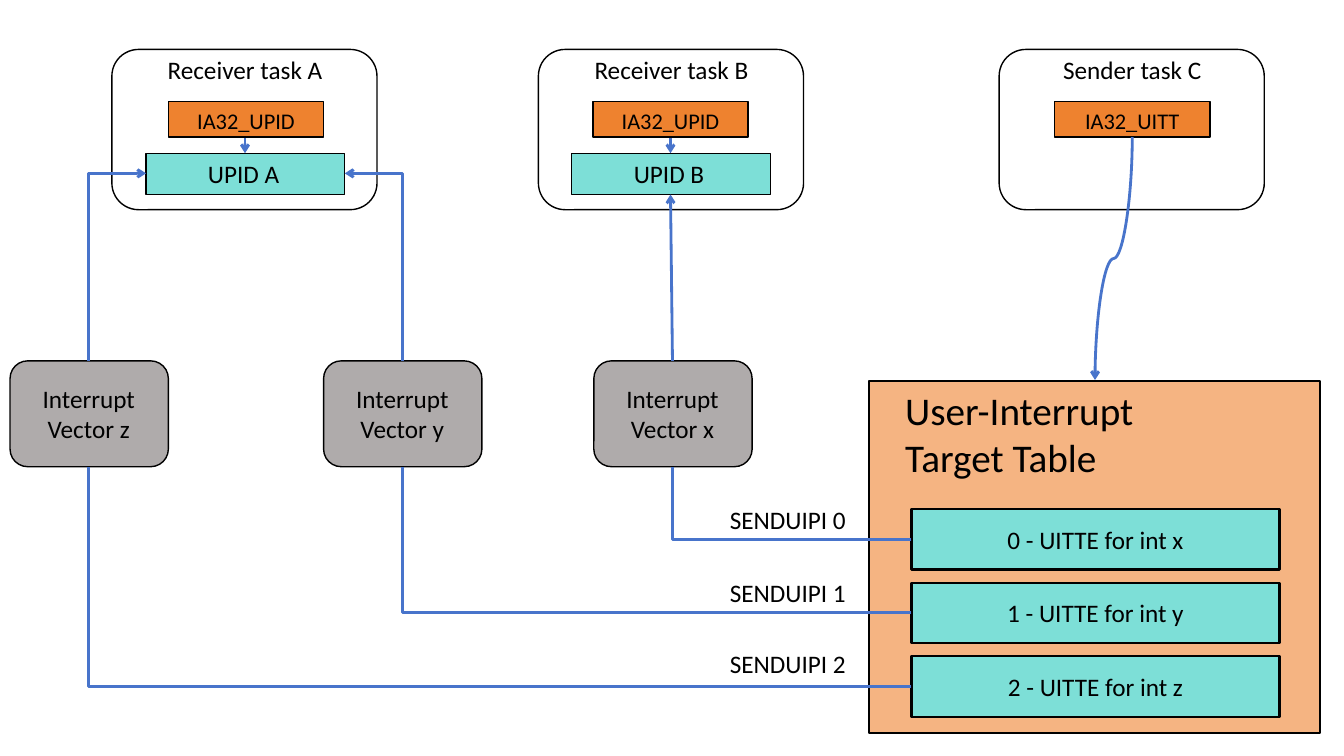
from lxml import etree
from pptx import Presentation
from pptx.dml.color import RGBColor
from pptx.enum.shapes import MSO_CONNECTOR, MSO_SHAPE
from pptx.enum.text import MSO_ANCHOR, PP_ALIGN
from pptx.oxml.ns import qn
from pptx.util import Inches, Pt

RECT = MSO_SHAPE.FLOWCHART_PROCESS
ROUND = MSO_SHAPE.FLOWCHART_ALTERNATE_PROCESS
LINE, BENT, CURVE = MSO_CONNECTOR.STRAIGHT, MSO_CONNECTOR.ELBOW, MSO_CONNECTOR.CURVE
LEFT, MID = PP_ALIGN.LEFT, PP_ALIGN.CENTER
TOP, HALF = MSO_ANCHOR.TOP, MSO_ANCHOR.MIDDLE
INK = {"black": "000000", "blue": "4874CB", "teal": "7DDFD7",
       "orange": "EE822F", "peach": "F5B482", "gray": "AFABAB"}


class Board:
    """Draws styled boxes, labels and links on one slide."""

    def __init__(self, slide, font="Calibri"):
        self.items = slide.shapes
        self.font = font

    def tint(self, name):
        return RGBColor.from_string(INK[name])

    def letter(self, frame, text, size, align, anchor):
        frame.word_wrap = True
        frame.vertical_anchor = anchor
        for i, row in enumerate(text.split("\n")):
            para = frame.add_paragraph() if i else frame.paragraphs[0]
            para.text = row
            para.alignment = align
            para.font.name = self.font
            para.font.size = Pt(size)
            para.font.color.rgb = self.tint("black")

    def box(self, kind, area, fill=None, width=1, text="", size=18, anchor=HALF):
        shape = self.items.add_shape(kind, *map(Inches, area))
        shape.shadow.inherit = False
        if fill:
            shape.fill.solid()
            shape.fill.fore_color.rgb = self.tint(fill)
        else:
            shape.fill.background()
        shape.line.color.rgb = self.tint("black")
        shape.line.width = Pt(width)
        if text:
            self.letter(shape.text_frame, text, size, MID, anchor)

    def label(self, area, text, size=18, align=MID):
        frame = self.items.add_textbox(*map(Inches, area)).text_frame
        self.letter(frame, text, size, align, TOP)

    def link(self, kind, start, end, tip=None, turn=0):
        wire = self.items.add_connector(kind, *map(Inches, start + end))
        wire.line.color.rgb = self.tint("blue")
        wire.line.width = Pt(2)
        props = wire.element.spPr
        if kind == BENT:
            props.find(qn("a:prstGeom")).set("prst", "bentConnector2")
        if turn:
            props.find(qn("a:xfrm")).set("rot", str(turn * 60000))
        if tip:
            etree.SubElement(props.find(qn("a:ln")), qn(tip), type="arrow")
        etree.SubElement(props, qn("a:effectLst"))


def main():
    deck = Presentation()
    deck.slide_width, deck.slide_height = Inches(13.33), Inches(7.5)
    board = Board(deck.slides.add_slide(deck.slide_layouts[6]))
    head, tail = "a:headEnd", "a:tailEnd"

    board.box(RECT, (8.62, 3.78, 4.47, 3.49), "peach", 1.5)
    for i, name in enumerate("xyz"):
        board.box(RECT, (9.04, 5.05 + 0.73 * i, 3.65, 0.6), "teal", 1.5,
                  f"{i} - UITTE for int {name}")

    tasks = [(1.11, 1.67, "Receiver task A", "IA32_UPID"),
             (5.34, 5.88, "Receiver task B", "IA32_UPID"),
             (9.91, 10.46, "Sender task C", "IA32_UITT")]
    for left, inner, title, reg in tasks:
        board.box(RECT, (inner, 1.01, 1.54, 0.35), "orange", 1, reg, 16, TOP)
        board.box(ROUND, (left, 0.49, 2.63, 1.59))
        board.label((left + 0.27, 0.49, 2.1, 0.4), title)

    for left, name in ((1.45, "A"), (5.67, "B")):
        board.box(RECT, (left, 1.52, 1.97, 0.41), "teal")
        board.label((left + 0.32, 1.52, 1.29, 0.4), f"UPID {name}")
        board.link(LINE, (left + 0.98, 1.37), (left + 0.98, 1.52), tail)

    board.link(CURVE, (9.84, 2.38), (12.25, 2.75), tail, 90)
    board.label((8.88, 3.78, 4.01, 1.04), "User-Interrupt\nTarget Table", 28, LEFT)

    vectors = [("x", 5.89, 4.95), ("y", 3.21, 5.68), ("z", 0.1, 6.38)]
    for i, (name, left, top) in enumerate(vectors):
        board.box(ROUND, (left, 3.58, 1.57, 1.05), "gray")
        board.label((left + 0.19, 3.75, 1.18, 0.71), f"Interrupt\nVector {name}")
        board.link(BENT, (9.04, 5.35 + 0.73 * i), (left + 0.78, 4.63))
        board.label((7.14, top, 1.48, 0.4), f"SENDUIPI {i}", align=LEFT)

    board.link(LINE, (6.67, 3.58), (6.65, 1.93), tail)
    board.link(BENT, (3.42, 1.72), (3.99, 3.58), head)
    board.link(BENT, (1.45, 1.72), (0.88, 3.58), head)
    deck.save("out.pptx")


if __name__ == "__main__":
    main()
